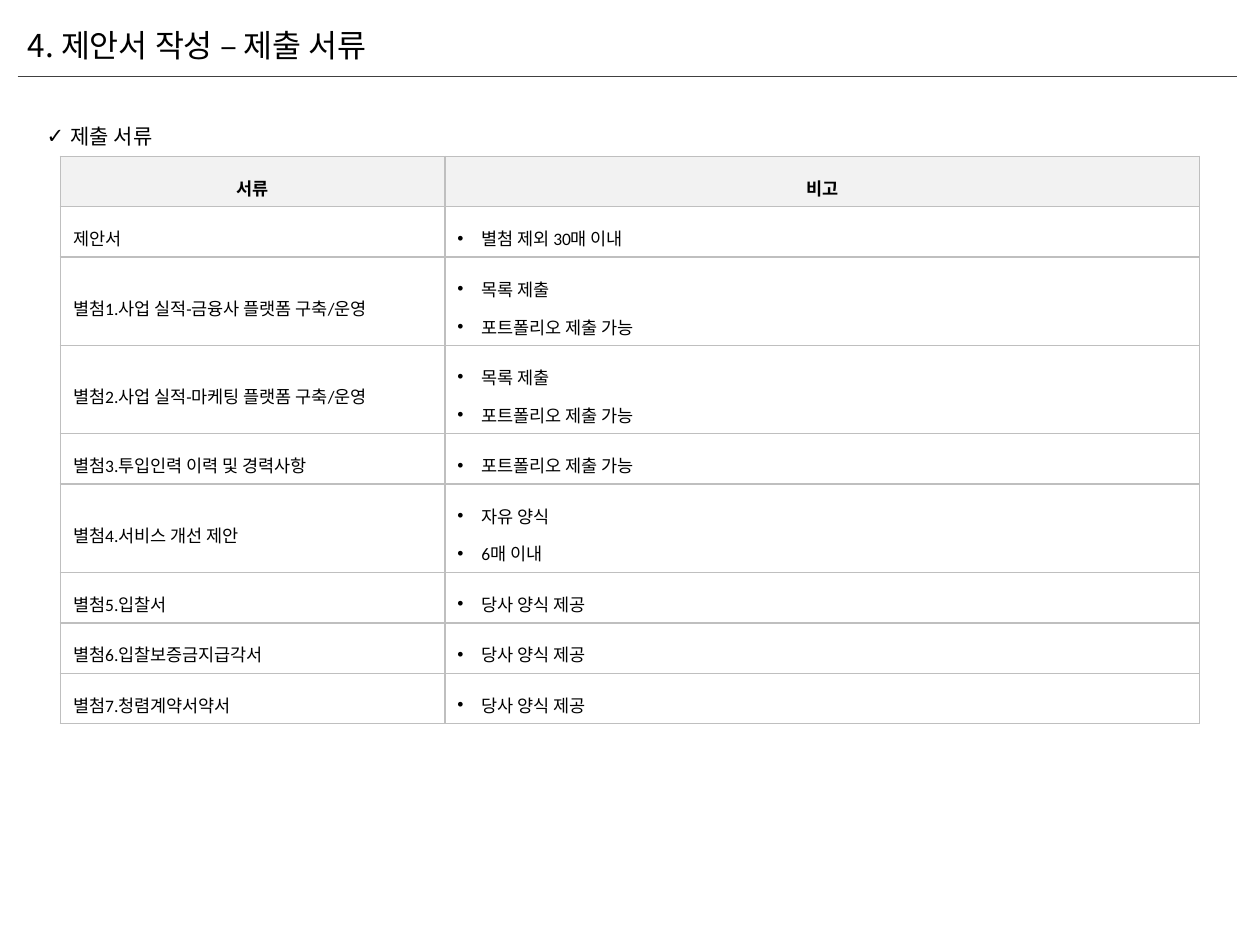
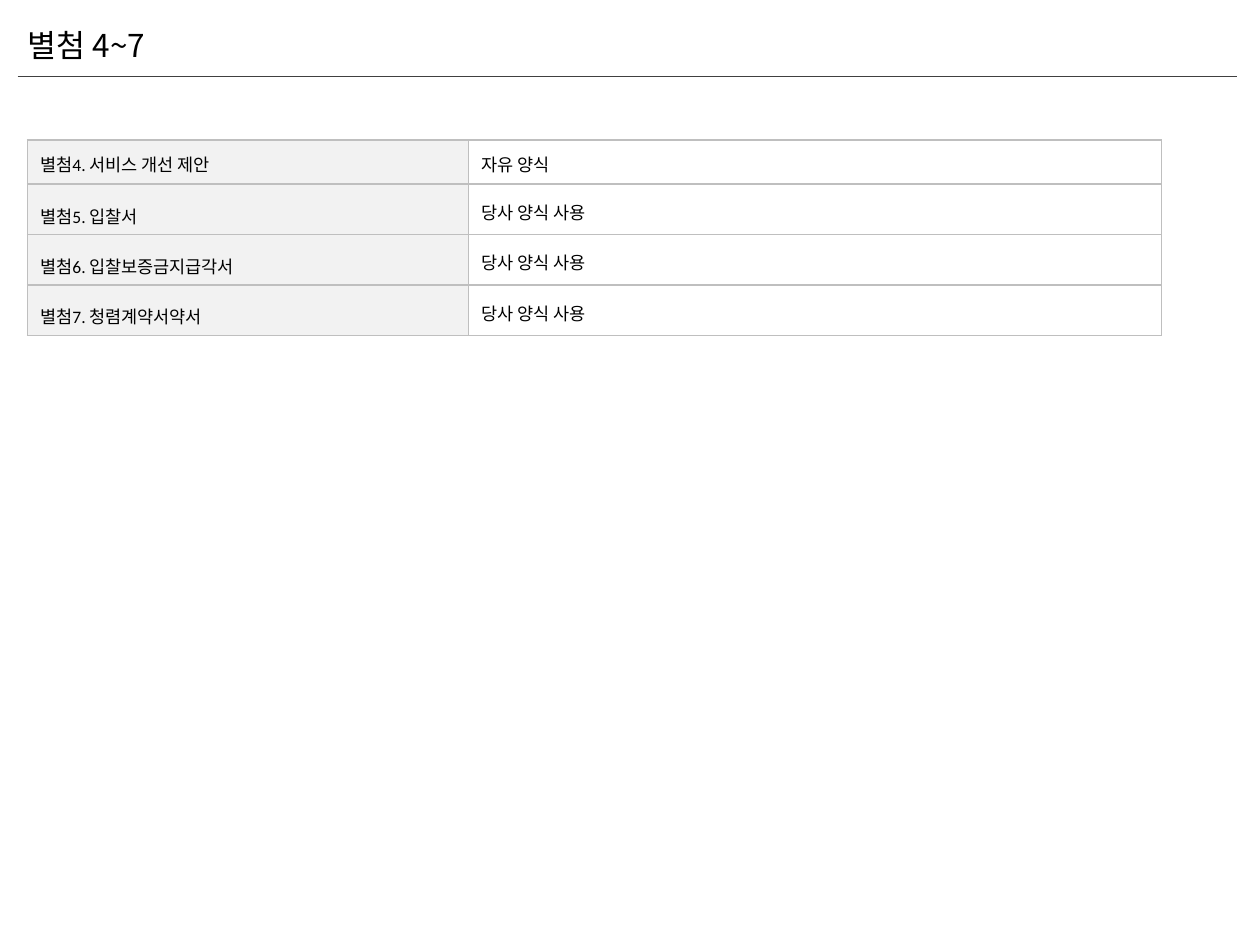
from dataclasses import dataclass

from lxml import etree
from pptx import Presentation
from pptx import util as u
from pptx.dml.color import RGBColor
from pptx.enum import shapes, text
from pptx.oxml import ns


@dataclass(frozen=True)
class Theme:
    ink: str = "000000"
    rule: str = "404040"
    border: str = "BFBFBF"
    label_fill: str = "F2F2F2"
    title_font: str = "Noto Sans CJK KR"
    body_font: str = "Calibri"
    title_size: int = 18
    list_size: int = 12
    table_size: int = 10


theme = Theme()


def grid(units):
    """Length of a number of grid units: 100 columns by 75 rows fill the slide."""
    return u.Inches(units / 10)


def write(paragraph, words, size, font=theme.body_font, spacing=1.0, bullet=None, bold=False):
    properties = paragraph._p.get_or_add_pPr()
    indent = grid(1.9) if bullet else 0
    properties.set("marL", str(indent))
    properties.set("indent", str(-indent))
    if bullet:
        etree.SubElement(properties, ns.qn("a:buFont")).set("typeface", "Arial")
        etree.SubElement(properties, ns.qn("a:buChar")).set("char", bullet)
    else:
        etree.SubElement(properties, ns.qn("a:buNone"))
    paragraph.line_spacing = spacing
    paragraph.space_before = u.Pt(0)
    run = paragraph.add_run()
    run.text = words
    run.font.name = font
    run.font.size = u.Pt(size)
    run.font.bold = bold
    run.font.color.rgb = RGBColor.from_string(theme.ink)


# Content: each table row is a label and its list of remarks
documents = [
    ("서류", ["비고"]),
    ("제안서", ["별첨 제외 30매 이내"]),
    ("별첨1.사업 실적-금융사 플랫폼 구축/운영", ["목록 제출", "포트폴리오 제출 가능"]),
    ("별첨2.사업 실적-마케팅 플랫폼 구축/운영", ["목록 제출", "포트폴리오 제출 가능"]),
    ("별첨3.투입인력 이력 및 경력사항", ["포트폴리오 제출 가능"]),
    ("별첨4.서비스 개선 제안", ["자유 양식", "6매 이내"]),
    ("별첨5.입찰서", ["당사 양식 제공"]),
    ("별첨6.입찰보증금지급각서", ["당사 양식 제공"]),
    ("별첨7.청렴계약서약서", ["당사 양식 제공"]),
]
attachments = [
    ("별첨4. 서비스 개선 제안", ["자유 양식"]),
    ("별첨5. 입찰서", ["당사 양식 사용"]),
    ("별첨6. 입찰보증금지급각서", ["당사 양식 사용"]),
    ("별첨7. 청렴계약서약서", ["당사 양식 사용"]),
]
pages = [
    dict(title="4. 제안서 작성 – 제출 서류", heading="제출 서류", rows=documents,
         left=4.8, top=12.4, columns=(30.5, 59.9), row_height=2.7, has_header=True),
    dict(title="별첨 4~7", heading=None, rows=attachments,
         left=2.2, top=11.1, columns=(35, 55), row_height=3.5, has_header=False),
]

presentation = Presentation()
presentation.slide_width, presentation.slide_height = grid(100), grid(75)
title_and_body, title_only = presentation.slide_layouts[1], presentation.slide_layouts[5]

for page in pages:
    slide = presentation.slides.add_slide(title_and_body if page["heading"] else title_only)

    # Title
    title = slide.shapes.title
    title.left, title.top, title.width, title.height = map(grid, (1.2, 1.6, 32.3, 7.1))
    title.text_frame.auto_size = text.MSO_AUTO_SIZE.NONE
    title.text_frame.vertical_anchor = text.MSO_ANCHOR.TOP
    paragraph = title.text_frame.paragraphs[0]
    paragraph.alignment = text.PP_ALIGN.LEFT
    write(paragraph, page["title"], theme.title_size, theme.title_font)

    # Rule under the title
    rule = slide.shapes.add_connector(
        shapes.MSO_CONNECTOR.STRAIGHT, grid(1.4), grid(6.1), grid(98.2), grid(6.1))
    rule.line.color.rgb = RGBColor.from_string(theme.rule)
    rule.line.width = u.Pt(0.5)
    etree.SubElement(rule._element.spPr, ns.qn("a:effectLst"))

    # Checked heading above the table
    if page["heading"]:
        heading = slide.placeholders[1]
        heading.left, heading.top, heading.width, heading.height = map(grid, (2.7, 8.3, 32.1, 3.7))
        heading.text_frame.auto_size = text.MSO_AUTO_SIZE.NONE
        write(heading.text_frame.paragraphs[0], page["heading"], theme.list_size,
              spacing=1.5, bullet="✓")

    # Table
    rows, columns, row_height = page["rows"], page["columns"], page["row_height"]
    table = slide.shapes.add_table(
        len(rows), len(columns), grid(page["left"]), grid(page["top"]),
        grid(sum(columns)), grid(row_height * len(rows))).table
    table.first_row = table.horz_banding = False
    for column, width in zip(table.columns, columns):
        column.width = grid(width)
    for row_index, (label, remarks) in enumerate(rows):
        table.rows[row_index].height = grid(row_height)
        is_header = page["has_header"] and row_index == 0
        for column_index, lines in enumerate(([label], remarks)):
            cell = table.cell(row_index, column_index)
            cell.vertical_anchor = text.MSO_ANCHOR.MIDDLE

            # Borders come before the fill in the cell properties
            for side in ("lnL", "lnR", "lnT", "lnB"):
                border = etree.SubElement(
                    cell._tc.get_or_add_tcPr(), ns.qn(f"a:{side}"), w=str(u.Pt(1)))
                solid = etree.SubElement(border, ns.qn("a:solidFill"))
                etree.SubElement(solid, ns.qn("a:srgbClr"), val=theme.border)
            is_label = is_header or (not page["has_header"] and column_index == 0)
            if is_label:
                cell.fill.solid()
                cell.fill.fore_color.rgb = RGBColor.from_string(theme.label_fill)
            else:
                cell.fill.background()

            # Remarks are bulleted only in the table with a header
            is_listed = page["has_header"] and not is_header and column_index == 1
            is_tight = not page["has_header"] and (row_index == 0 or column_index == 1)
            for line_index, line in enumerate(lines):
                frame = cell.text_frame
                paragraph = frame.add_paragraph() if line_index else frame.paragraphs[0]
                if is_header:
                    paragraph.alignment = text.PP_ALIGN.CENTER
                write(paragraph, line, theme.table_size, spacing=1.2 if is_tight else 1.5,
                      bullet="•" if is_listed else None, bold=is_header)

presentation.save("out.pptx")
